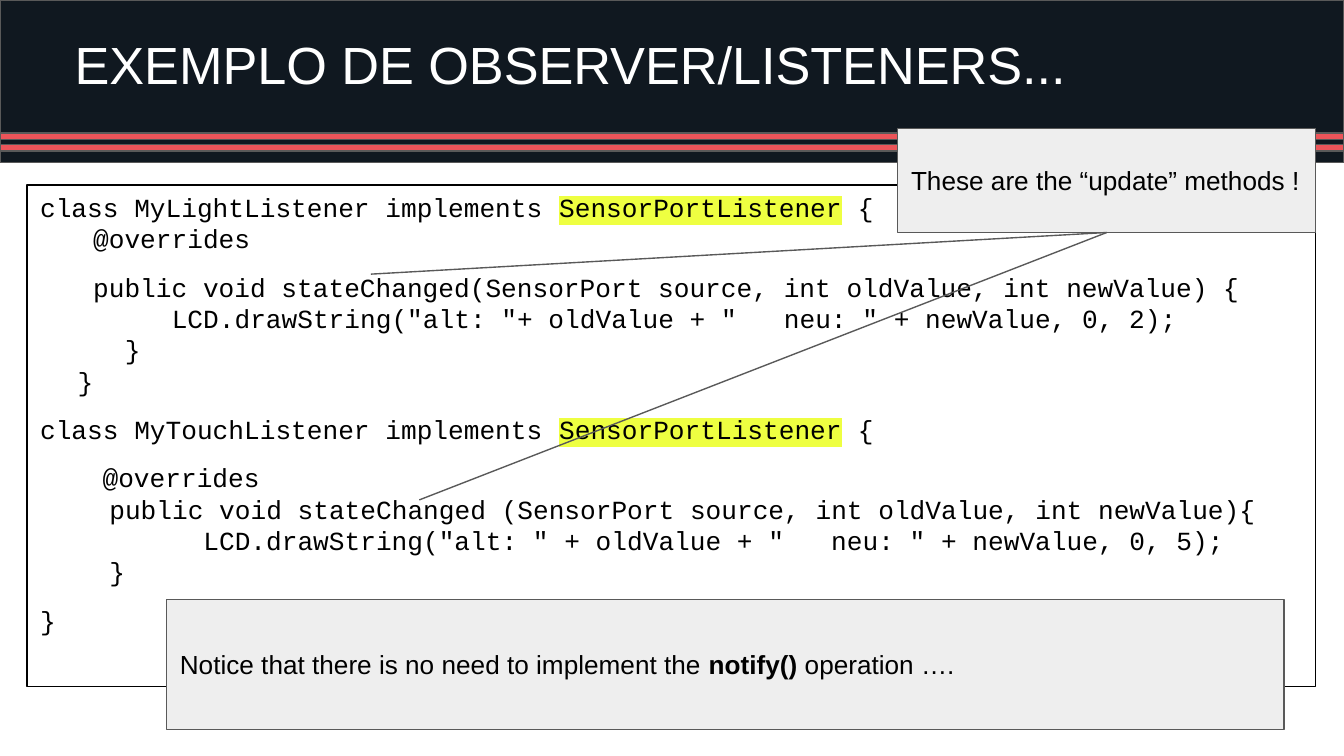
from lxml.etree import SubElement
from pptx import Presentation
from pptx.dml.color import RGBColor
from pptx.enum.shapes import MSO_CONNECTOR, MSO_SHAPE
from pptx.enum.text import MSO_ANCHOR, MSO_AUTO_SIZE, PP_ALIGN
from pptx.oxml.ns import qn
from pptx.util import Emu, Pt

EMU_PER_PX = 4572
INK, PAPER, GREY, PANEL = "000000", "FFFFFF", "595959", "EEEEEE"
NAVY, RED, YELLOW = "101820", "EC5459", "EEFF41"
LISTENER = "SensorPortListener"
CODE_BLOCKS = [
    [
        (0, f"class MyLightListener implements {LISTENER} {{"),
        (79, "@overrides"),
    ],
    [
        (79, "public void stateChanged(SensorPort source, int oldValue, int newValue) {"),
        (196, 'LCD.drawString("alt: "+ oldValue + "   neu: " + newValue, 0, 2);'),
        (126, "}"),
        (56, "}"),
    ],
    [(0, f"class MyTouchListener implements {LISTENER} {{")],
    [
        (93, "@overrides"),
        (103, "public void stateChanged (SensorPort source, int oldValue, int newValue){"),
        (243, 'LCD.drawString("alt: " + oldValue + "   neu: " + newValue, 0, 5);'),
        (103, "}"),
    ],
    [(0, "}")],
]


def px(length):
    """Turn pixels into EMU."""
    return Emu(round(length * EMU_PER_PX))


def color(hex_value):
    """Turn a hex string into a colour."""
    return RGBColor.from_string(hex_value)


def format_run(run, font_name, size, hex_value, bold=False):
    """Set the font of a run."""
    run.font.name = font_name
    run.font.size = Pt(size)
    run.font.bold = bold
    run.font.color.rgb = color(hex_value)


def highlight_run(run, hex_value):
    """Mark a run that already has a colour with a highlight."""
    properties = run._r.get_or_add_rPr()
    highlight = SubElement(properties, qn("a:highlight"))
    SubElement(highlight, qn("a:srgbClr"), val=hex_value)
    properties.find(qn("a:solidFill")).addnext(highlight)


def set_insets(text_frame, side, vertical):
    """Set wrapping and the inner margins of a text frame."""
    text_frame.word_wrap = True
    text_frame.margin_left = text_frame.margin_right = px(side)
    text_frame.margin_top = text_frame.margin_bottom = px(vertical)


def add_box(slide, box, fill, line=GREY):
    """Add a flat, outlined rectangle."""
    shape = slide.shapes.add_shape(MSO_SHAPE.RECTANGLE, *map(px, box))
    shape.shadow.inherit = False
    shape.fill.solid()
    shape.fill.fore_color.rgb = color(fill)
    shape.line.color.rgb = color(line)
    shape.line.width = Pt(0.75)
    return shape


def add_header(slide, box, text):
    """Add the dark band with its two stripes and the title."""
    left, top, width, height = box
    add_box(slide, box, NAVY)
    for offset in (198, 215):
        add_box(slide, (left, top + offset, width, 10), RED)
    title = slide.shapes.title
    slide.shapes._spTree.append(title._element)
    title.left, title.top = px(left + 91), px(top + 11)
    title.width, title.height = px(1594), px(184)
    text_frame = title.text_frame
    text_frame.text = text
    text_frame.auto_size = MSO_AUTO_SIZE.NONE
    text_frame.vertical_anchor = MSO_ANCHOR.MIDDLE
    set_insets(text_frame, 20, 10)
    paragraph = text_frame.paragraphs[0]
    paragraph.alignment = PP_ALIGN.LEFT
    paragraph.line_spacing = 0.8
    format_run(paragraph.runs[0], "Arial", 28, PAPER)


def add_code(slide, box, blocks):
    """Add the code panel, one paragraph for each line of code."""
    text_frame = add_box(slide, box, PAPER, INK).text_frame
    text_frame.vertical_anchor = MSO_ANCHOR.TOP
    set_insets(text_frame, 20, 10)
    paragraph = text_frame.paragraphs[0]
    for block_index, block in enumerate(blocks):
        for line_index, (indent, line) in enumerate(block):
            if block_index or line_index:
                paragraph = text_frame.add_paragraph()
            paragraph.alignment = PP_ALIGN.LEFT
            paragraph.space_before = Pt(9 if block_index and not line_index else 0)
            paragraph._p.get_or_add_pPr().set("marL", str(px(indent)))
            for part in filter(None, line.partition(LISTENER)):
                run = paragraph.add_run()
                run.text = part
                format_run(run, "Courier New", 14, INK)
                if part == LISTENER:
                    highlight_run(run, YELLOW)


def add_note(slide, box, parts):
    """Add a grey note made of (text, bold) parts."""
    text_frame = add_box(slide, box, PANEL).text_frame
    text_frame.vertical_anchor = MSO_ANCHOR.MIDDLE
    set_insets(text_frame, 20, 20)
    paragraph = text_frame.paragraphs[0]
    paragraph.alignment = PP_ALIGN.LEFT
    for text, bold in parts:
        run = paragraph.add_run()
        run.text = text
        format_run(run, "Arial", 14, INK, bold)


def add_pointers(slide, box, targets):
    """Draw lines from the bottom centre of a box to each target."""
    left, top, width, height = box
    start = (left + width / 2, top + height)
    for target in targets:
        connector = slide.shapes.add_connector(
            MSO_CONNECTOR.STRAIGHT, *map(px, start + target))
        connector.line.color.rgb = color(GREY)
        connector.line.width = Pt(0.75)
        SubElement(connector._element.spPr, qn("a:effectLst"))


def main():
    """Build the slide and save it."""
    presentation = Presentation()
    presentation.slide_width, presentation.slide_height = px(2000), px(1125)
    slide = presentation.slides.add_slide(presentation.slide_layouts[5])
    add_code(slide, (40, 275, 1918, 747), CODE_BLOCKS)
    add_header(slide, (0, 0, 2000, 242), "EXEMPLO DE OBSERVER/LISTENERS...")
    callout = (1336, 191, 622, 155)
    add_note(slide, callout, [("These are the “update” methods !", False)])
    add_pointers(slide, callout, [(552, 408), (624, 744)])
    add_note(slide, (248, 892, 1663, 194), [
        ("Notice that there is no need to implement the ", False),
        ("notify()", True),
        (" operation ….", False),
    ])
    presentation.save("out.pptx")


if __name__ == "__main__":
    main()
